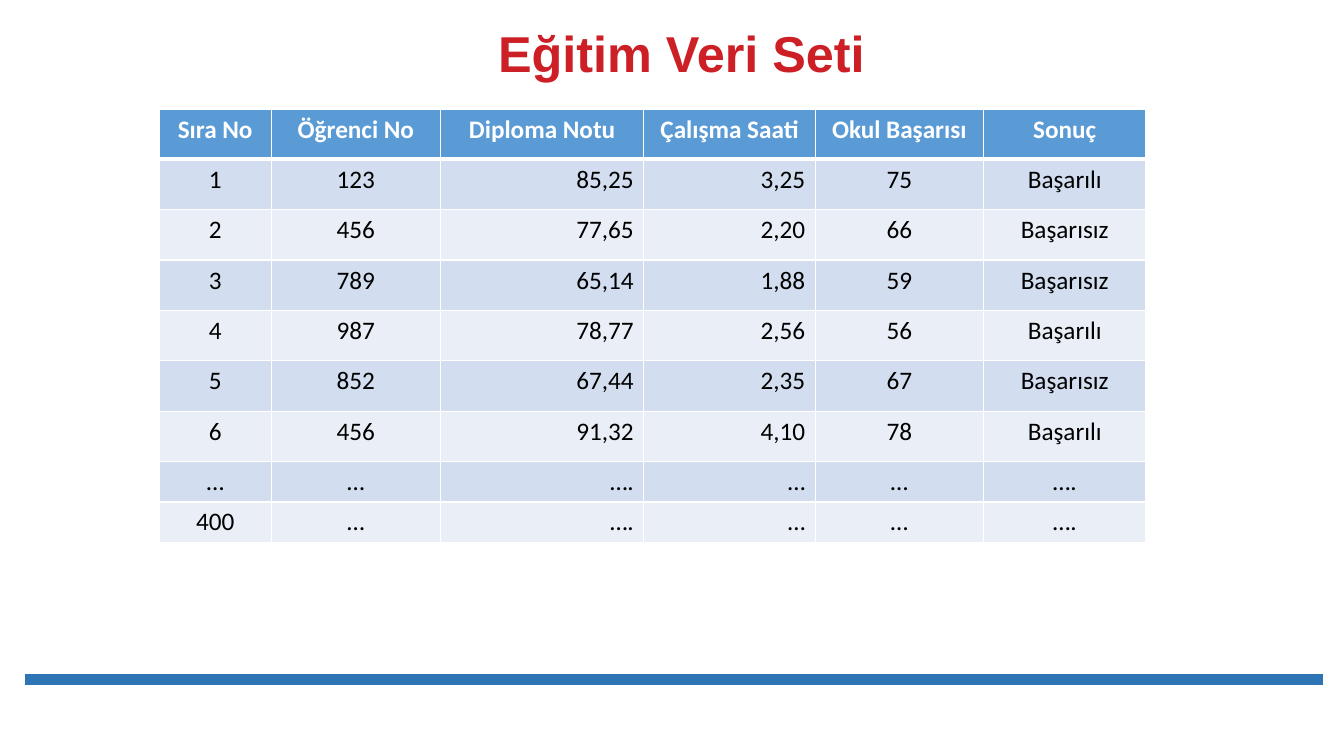
"""Build a slide with a titled student data table above a blue rule."""
from dataclasses import dataclass

from lxml import etree
from pptx import Presentation
from pptx.dml.color import RGBColor
from pptx.enum.shapes import MSO_CONNECTOR
from pptx.enum.text import MSO_ANCHOR, MSO_AUTO_SIZE, PP_ALIGN
from pptx.oxml.ns import qn
from pptx.slide import Slide
from pptx.table import _Cell
from pptx.text.text import _Paragraph
from pptx.util import Inches, Pt

STRAIGHT = MSO_CONNECTOR.STRAIGHT
MIDDLE = MSO_ANCHOR.MIDDLE
GROW = MSO_AUTO_SIZE.SHAPE_TO_FIT_TEXT
CENTER = PP_ALIGN.CENTER
RIGHT = PP_ALIGN.RIGHT

RED = RGBColor(0xCD, 0x1F, 0x26)
RULE_BLUE = RGBColor(0x2E, 0x75, 0xB6)
HEADER_BLUE = RGBColor(0x5B, 0x9B, 0xD5)
DARK_BAND = RGBColor(0xD2, 0xDE, 0xEF)
LIGHT_BAND = RGBColor(0xEA, 0xEF, 0xF7)
WHITE = RGBColor(0xFF, 0xFF, 0xFF)
BLACK = RGBColor(0x00, 0x00, 0x00)

SLIDE_WIDTH = Inches(13.33)
SLIDE_HEIGHT = Inches(7.5)
LAYOUT_TITLE_ONLY = 5


@dataclass(frozen=True)
class Column:
    """A table column, its width in percent of the slide's width."""

    heading: str
    width: float
    alignment: PP_ALIGN = CENTER


@dataclass(frozen=True)
class Row:
    """A table row, its height in percent of the slide's height."""

    values: tuple[str, ...]
    height: float = 6.67


@dataclass(frozen=True)
class TextStyle:
    """The look of a run of text."""

    font: str
    size: int
    color: RGBColor
    bold: bool = False


TITLE_STYLE = TextStyle("Arial", 36, RED, True)
HEADER_STYLE = TextStyle("Calibri", 18, WHITE, True)
BODY_STYLE = TextStyle("Calibri", 18, BLACK)

COLUMNS = (
    Column("Sıra No", 8.33),
    Column("Öğrenci No", 12.6),
    Column("Diploma Notu", 15.13, RIGHT),
    Column("Çalışma Saati", 12.75, RIGHT),
    Column("Okul Başarısı", 12.53),
    Column("Sonuç", 12.08),
)
ROWS = (
    Row(("1", "123", "85,25", "3,25", "75", "Başarılı")),
    Row(("2", "456", "77,65", "2,20", "66", "Başarısız")),
    Row(("3", "789", "65,14", "1,88", "59", "Başarısız")),
    Row(("4", "987", "78,77", "2,56", "56", "Başarılı")),
    Row(("5", "852", "67,44", "2,35", "67", "Başarısız")),
    Row(("6", "456", "91,32", "4,10", "78", "Başarılı")),
    Row(("…", "…", "….", "…", "…", "…."), 5.33),
    Row(("400", "…", "….", "…", "…", "…."), 5.33),
)
HEADER = Row(tuple(column.heading for column in COLUMNS), 6.53)


def across(percent: float) -> int:
    """Turn a share of the slide's width into a length."""
    return round(SLIDE_WIDTH * percent / 100)


def down(percent: float) -> int:
    """Turn a share of the slide's height into a length."""
    return round(SLIDE_HEIGHT * percent / 100)


def write(paragraph: _Paragraph, text: str, style: TextStyle, alignment: PP_ALIGN) -> None:
    """Add one styled run to a paragraph."""
    paragraph.alignment = alignment
    run = paragraph.add_run()
    run.text = text
    run.font.name = style.font
    run.font.size = Pt(style.size)
    run.font.bold = style.bold
    run.font.color.rgb = style.color


def draw_borders(cell: _Cell, top: int, bottom: int) -> None:
    """Give a cell white borders, with the top and bottom widths in points."""
    properties = cell._tc.get_or_add_tcPr()
    for side, width in (("L", 1), ("R", 1), ("T", top), ("B", bottom)):
        line = etree.SubElement(properties, qn(f"a:ln{side}"), w=str(Pt(width)))
        fill = etree.SubElement(line, qn("a:solidFill"))
        etree.SubElement(fill, qn("a:srgbClr"), val=str(WHITE))


def draw_title(slide: Slide, text: str) -> None:
    """Place and fill the title placeholder."""
    title = slide.shapes.title
    title.left, title.top = across(16.13), down(3.07)
    title.width, title.height = across(69.17), down(8.67)
    frame = title.text_frame
    frame.word_wrap = True
    frame.auto_size = GROW
    frame.vertical_anchor = MIDDLE
    paragraph = frame.paragraphs[0]
    paragraph.line_spacing = 0.9
    write(paragraph, text, TITLE_STYLE, CENTER)


def draw_rule(slide: Slide) -> None:
    """Draw the thick blue rule near the bottom."""
    height = down(89.87)
    rule = slide.shapes.add_connector(STRAIGHT, across(1.88), height, across(98.42), height)
    rule.line.color.rgb = RULE_BLUE
    rule.line.width = Pt(8)
    etree.SubElement(rule._element.spPr, qn("a:effectLst"))


def draw_table(slide: Slide) -> None:
    """Draw the header and the banded rows of student data."""
    rows = (HEADER, *ROWS)
    width = across(sum(column.width for column in COLUMNS))
    height = down(sum(row.height for row in rows))
    table = slide.shapes.add_table(
        len(rows), len(COLUMNS), across(11.85), down(14.53), width, height
    ).table
    for index, column in enumerate(COLUMNS):
        table.columns[index].width = across(column.width)
    for row_index, row in enumerate(rows):
        table.rows[row_index].height = down(row.height)
        is_header = row is HEADER
        band = DARK_BAND if row_index % 2 else LIGHT_BAND
        for column_index, (column, value) in enumerate(zip(COLUMNS, row.values)):
            cell = table.cell(row_index, column_index)
            draw_borders(cell, 3 if row_index == 1 else 1, 3 if is_header else 1)
            cell.fill.solid()
            cell.fill.fore_color.rgb = HEADER_BLUE if is_header else band
            write(
                cell.text_frame.paragraphs[0],
                value,
                HEADER_STYLE if is_header else BODY_STYLE,
                CENTER if is_header else column.alignment,
            )


def main() -> None:
    """Build and save the presentation."""
    presentation = Presentation()
    presentation.slide_width = SLIDE_WIDTH
    presentation.slide_height = SLIDE_HEIGHT
    slide = presentation.slides.add_slide(presentation.slide_layouts[LAYOUT_TITLE_ONLY])
    draw_title(slide, "Eğitim Veri Seti")
    draw_rule(slide)
    draw_table(slide)
    presentation.save("out.pptx")


if __name__ == "__main__":
    main()
